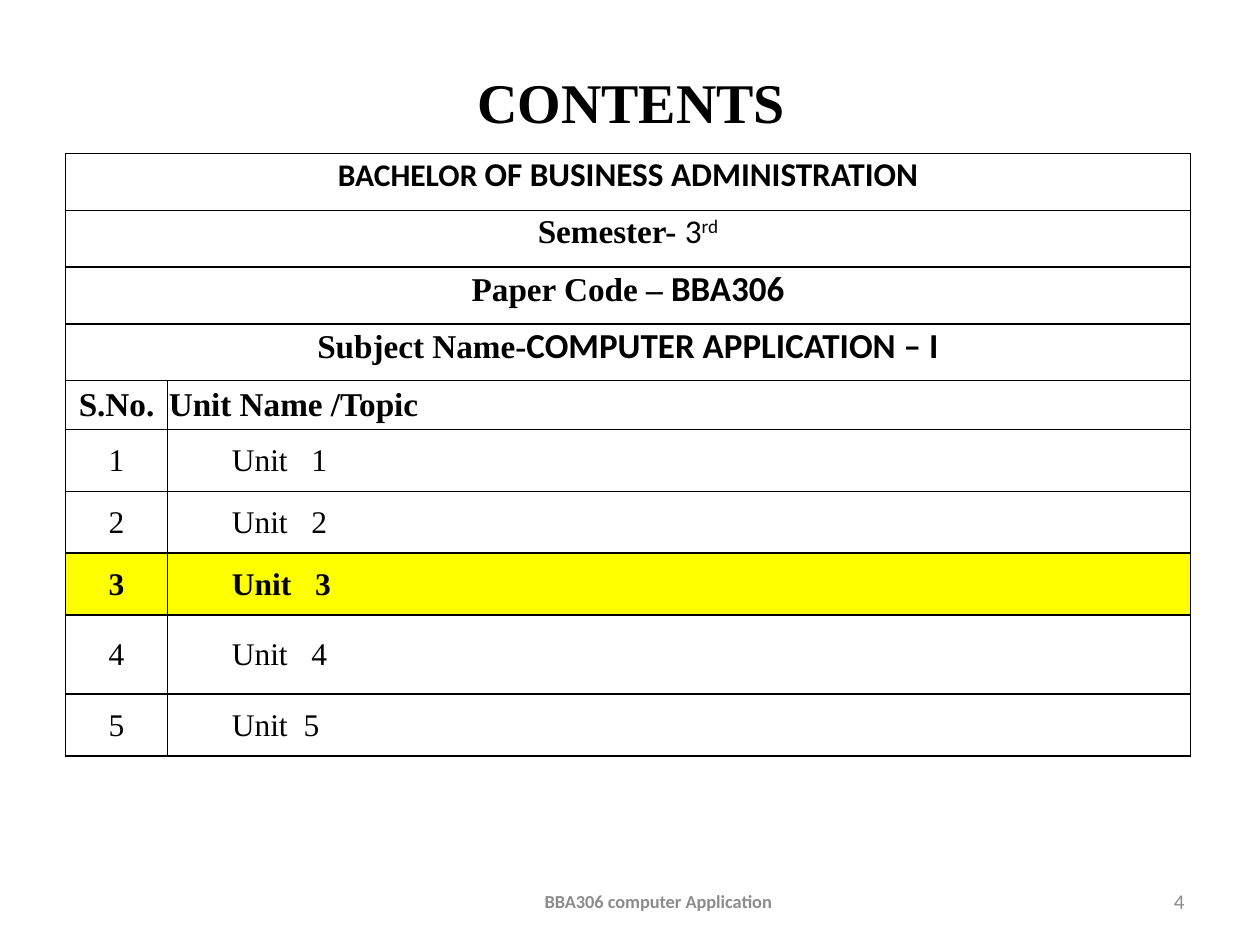
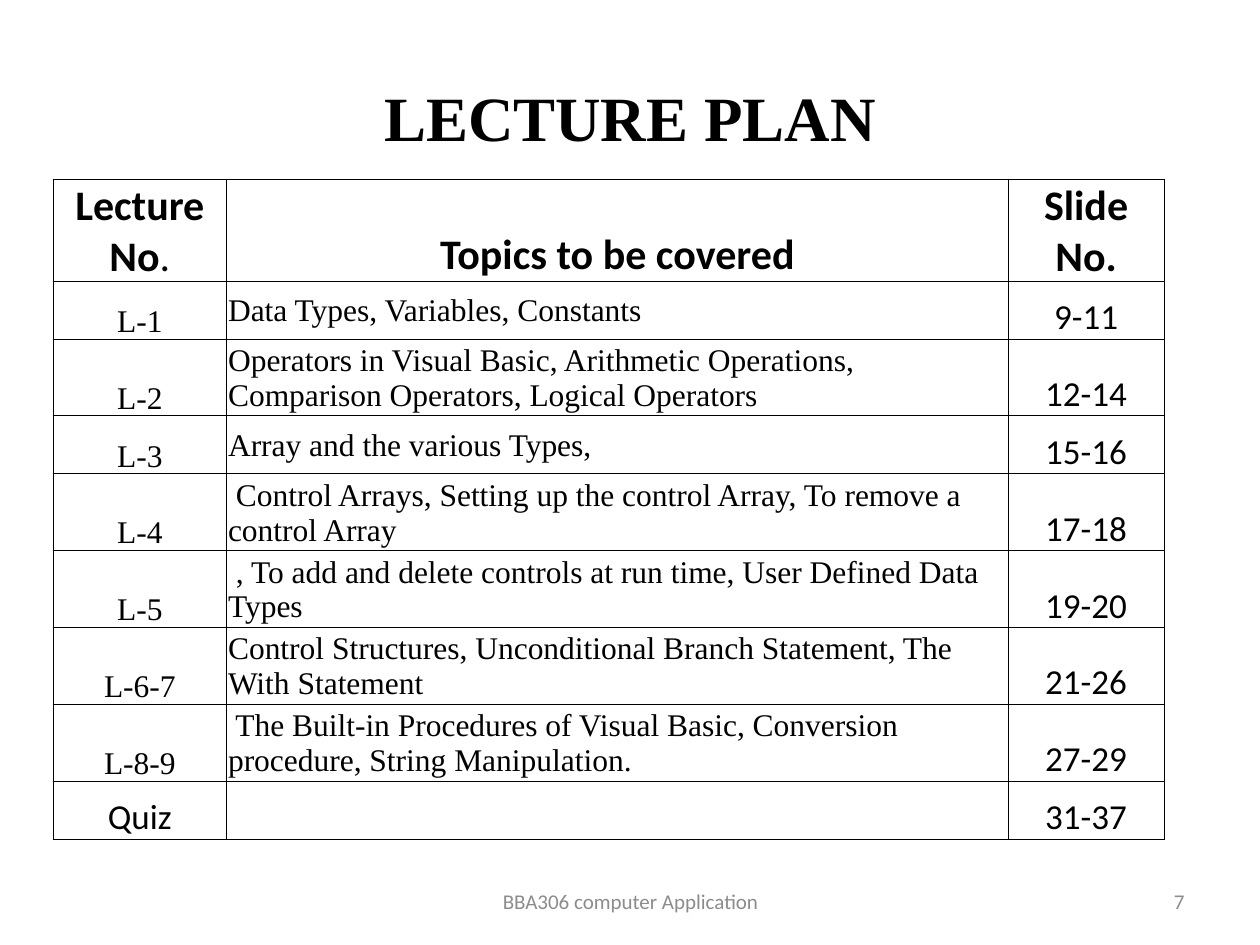
from lxml import etree
from pptx import Presentation
from pptx.dml.color import RGBColor
from pptx.enum.text import MSO_ANCHOR, PP_ALIGN
from pptx.oxml.ns import qn
from pptx.util import Inches, Pt

LEFT, CENTER, RIGHT, JUSTIFY = PP_ALIGN.LEFT, PP_ALIGN.CENTER, PP_ALIGN.RIGHT, PP_ALIGN.JUSTIFY
TOP, MIDDLE, BOTTOM = MSO_ANCHOR.TOP, MSO_ANCHOR.MIDDLE, MSO_ANCHOR.BOTTOM
SERIF, SANS = "Times New Roman", "Calibri"
BLACK, GREY, YELLOW = "000000", "8C8C8C", "FFFF00"
INSETS = {"margin_left": 0.01, "margin_right": 0.01, "margin_top": 0.01, "margin_bottom": 0}


def write(tf, runs, align, color=BLACK):
    """Fill the first paragraph with runs of (text, font, size, bold[, XML attributes])."""
    p = tf.paragraphs[0]
    p.alignment = align
    for text, name, size, bold, *extra in runs:
        r = p.add_run()
        r.text = text
        for key, value in {"name": name, "size": Pt(size), "bold": bold}.items():
            setattr(r.font, key, value)
        r.font.color.rgb = RGBColor.from_string(color)
        for attributes in extra:
            for key, value in attributes.items():
                r._r.get_or_add_rPr().set(key, value)


def set_borders(cell, width):
    tcPr = cell._tc.get_or_add_tcPr()
    for side in ("lnL", "lnR", "lnT", "lnB"):
        ln = etree.SubElement(tcPr, qn(f"a:{side}"), w=str(Pt(width)))
        fill = etree.SubElement(ln, qn("a:solidFill"))
        etree.SubElement(fill, qn("a:srgbClr"), val=BLACK)


# Course contents: each cell is (runs, alignment, anchor)
course_lines = [
    [("BACHELOR ", SANS, 18, True), ("OF BUSINESS ADMINISTRATION", SANS, 19, True)],
    [("Semester- ", SERIF, 19, True), ("3", SANS, 19, False),
     ("rd", SANS, 19, False, {"baseline": "30000"})],
    [("Paper Code – ", SERIF, 19, True), ("BBA306", SANS, 20, True)],
    [("Subject Name-", SERIF, 19, True), ("COMPUTER APPLICATION – I", SANS, 20, True)],
]
contents = [[(line, CENTER, TOP)] for line in course_lines]
contents.append([([("S.No.", SERIF, 19, True)], CENTER, MIDDLE),
                 ([("Unit Name /Topic", SERIF, 19, True)], JUSTIFY, MIDDLE)])
CURRENT_UNIT = 3
for unit in range(1, 6):
    bold = unit == CURRENT_UNIT
    gap = "450" if unit == 5 else "900"
    contents.append([
        ([(str(unit), SERIF, 18, bold)], CENTER, MIDDLE),
        ([("Unit", SERIF, 18, bold), (" ", SERIF, 18, bold, {"spc": gap}),
          (str(unit), SERIF, 18, bold)], LEFT, MIDDLE),
    ])

# Lecture plan
lectures = [
    ("L-1", "Data Types, Variables, Constants", "9-11"),
    ("L-2", "Operators in Visual Basic, Arithmetic Operations, Comparison Operators, "
            "Logical Operators", "12-14"),
    ("L-3", "Array and the various Types,", "15-16"),
    ("L-4", " Control Arrays, Setting up the control Array, To remove a control Array", "17-18"),
    ("L-5", " , To add and delete controls at run time, User Defined Data Types", "19-20"),
    ("L-6-7", "Control Structures, Unconditional Branch Statement, The With Statement", "21-26"),
    ("L-8-9", " The Built-in Procedures of Visual Basic, Conversion procedure, "
              "String Manipulation.", "27-29"),
    ("Quiz", "", "31-37"),
]
plan = [[
    ([("Lecture No", SANS, 24, True), (".", SANS, 24, False)], CENTER, BOTTOM),
    ([("Topics to be covered", SANS, 24, True)], CENTER, BOTTOM),
    ([("Slide No.", SANS, 24, True)], CENTER, BOTTOM),
]]
for lecture, topic, pages in lectures:
    font, size = (SANS, 20) if lecture == "Quiz" else (SERIF, 18)
    plan.append([
        ([(lecture, font, size, False)], CENTER, BOTTOM),
        ([(topic, SERIF, 18, False)] if topic else [], LEFT, MIDDLE),
        ([(pages, SANS, 20, False)], CENTER, BOTTOM),
    ])

pages = [
    {"title": "CONTENTS", "title_at": (0.51, 0.18), "title_size": 32,
     "footer_width": 3.61, "footer_size": 10.5, "footer_bold": True, "number": "4",
     "table_at": (0.52, 1.22), "cols": [0.81, 8.12], "border": 1, "cells": contents,
     "rows": [0.45] * 4 + [0.39] + [0.49] * 3 + [0.63, 0.49]},
    {"title": "LECTURE PLAN", "title_at": (0.5, 0.3), "title_size": 36,
     "footer_width": 3.17, "footer_size": 12, "footer_bold": False, "number": "7",
     "table_at": (0.42, 1.42), "cols": [1.38, 6.2, 1.24], "border": 0.5, "cells": plan,
     "rows": [0.46] * 9},
]

prs = Presentation()
prs.slide_width, prs.slide_height = Inches(10), Inches(7.5)
title_only = prs.slide_layouts[5]

for page in pages:
    s = prs.slides.add_slide(title_only)
    title = s.shapes.title
    title.left, title.top = (Inches(v) for v in page["title_at"])
    title.width, title.height = Inches(9), Inches(1.25)
    title.text_frame.vertical_anchor = MIDDLE
    write(title.text_frame, [(page["title"], SERIF, page["title_size"], True)], CENTER)

    footer = ("BBA306 computer Application", SANS, page["footer_size"], page["footer_bold"])
    number = (page["number"], SANS, 12, False)
    for left, width, run, align in ((3.42, page["footer_width"], footer, CENTER),
                                    (7.17, 2.33, number, RIGHT)):
        sp = s.shapes.add_textbox(Inches(left), Inches(6.95), Inches(width), Inches(0.4))
        sp.text_frame.word_wrap = True
        sp.text_frame.vertical_anchor = MIDDLE
        write(sp.text_frame, [run], align, GREY)

    rows, cols = page["rows"], page["cols"]
    left, top = page["table_at"]
    table = s.shapes.add_table(len(rows), len(cols), Inches(left), Inches(top),
                               Inches(sum(cols)), Inches(sum(rows))).table
    table.first_row = table.horz_banding = False
    for column, width in zip(table.columns, cols):
        column.width = Inches(width)
    for row, height in zip(table.rows, rows):
        row.height = Inches(height)
        for cell in row.cells:
            set_borders(cell, page["border"])
            cell.fill.background()
            for key, value in INSETS.items():
                setattr(cell, key, Inches(value))

    for i, row in enumerate(page["cells"]):
        if len(row) == 1:
            table.cell(i, 0).merge(table.cell(i, len(cols) - 1))
        for j, (runs, align, anchor) in enumerate(row):
            cell = table.cell(i, j)
            cell.vertical_anchor = anchor
            write(cell.text_frame, runs, align)

    if page["cells"] is contents:
        first_unit_row = len(course_lines) + 1
        for i in range(first_unit_row, len(rows)):
            table.cell(i, 1).margin_left = Inches(0.51)
        for cell in table.rows[first_unit_row + CURRENT_UNIT - 1].cells:
            cell.fill.solid()
            cell.fill.fore_color.rgb = RGBColor.from_string(YELLOW)

prs.save("out.pptx")
